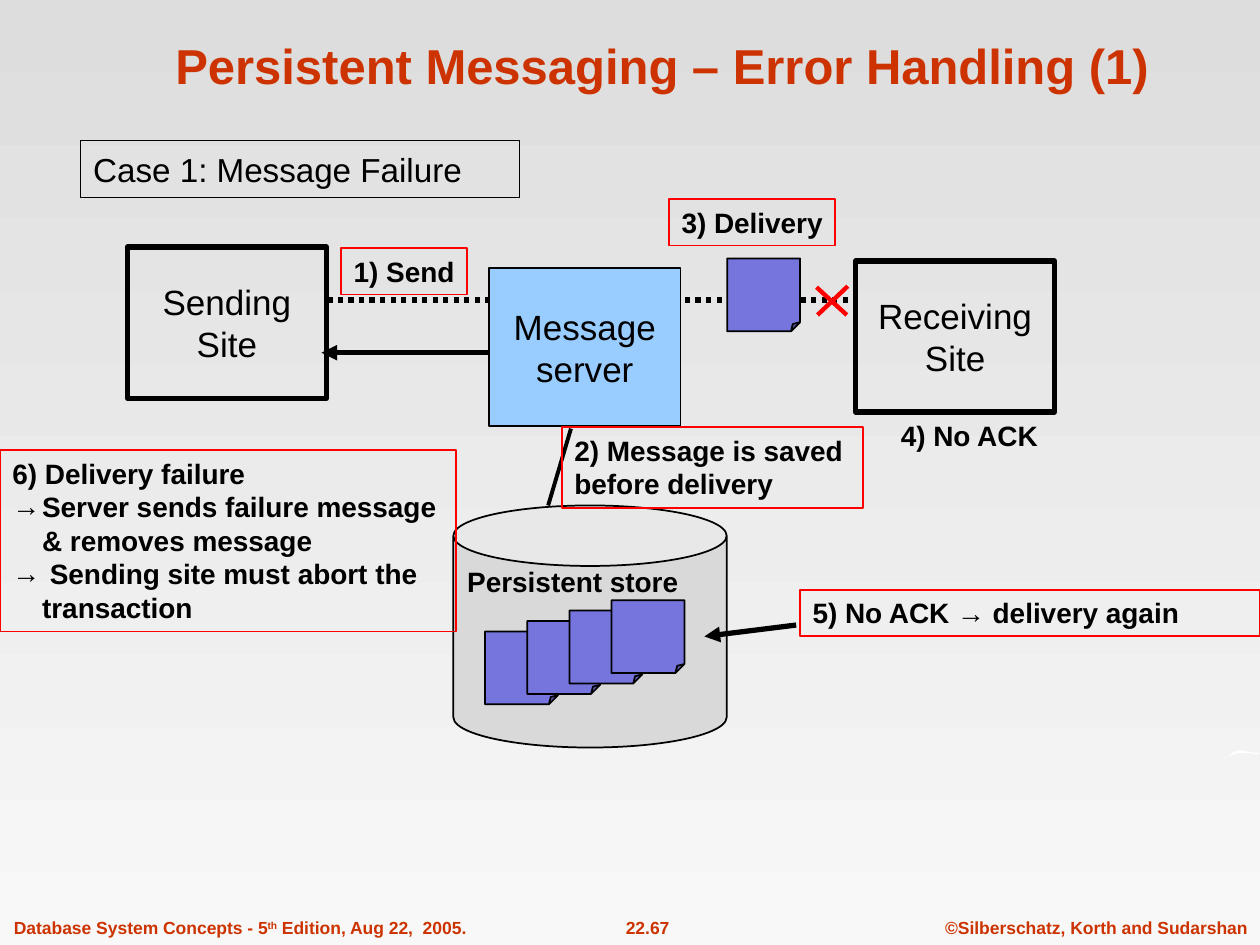
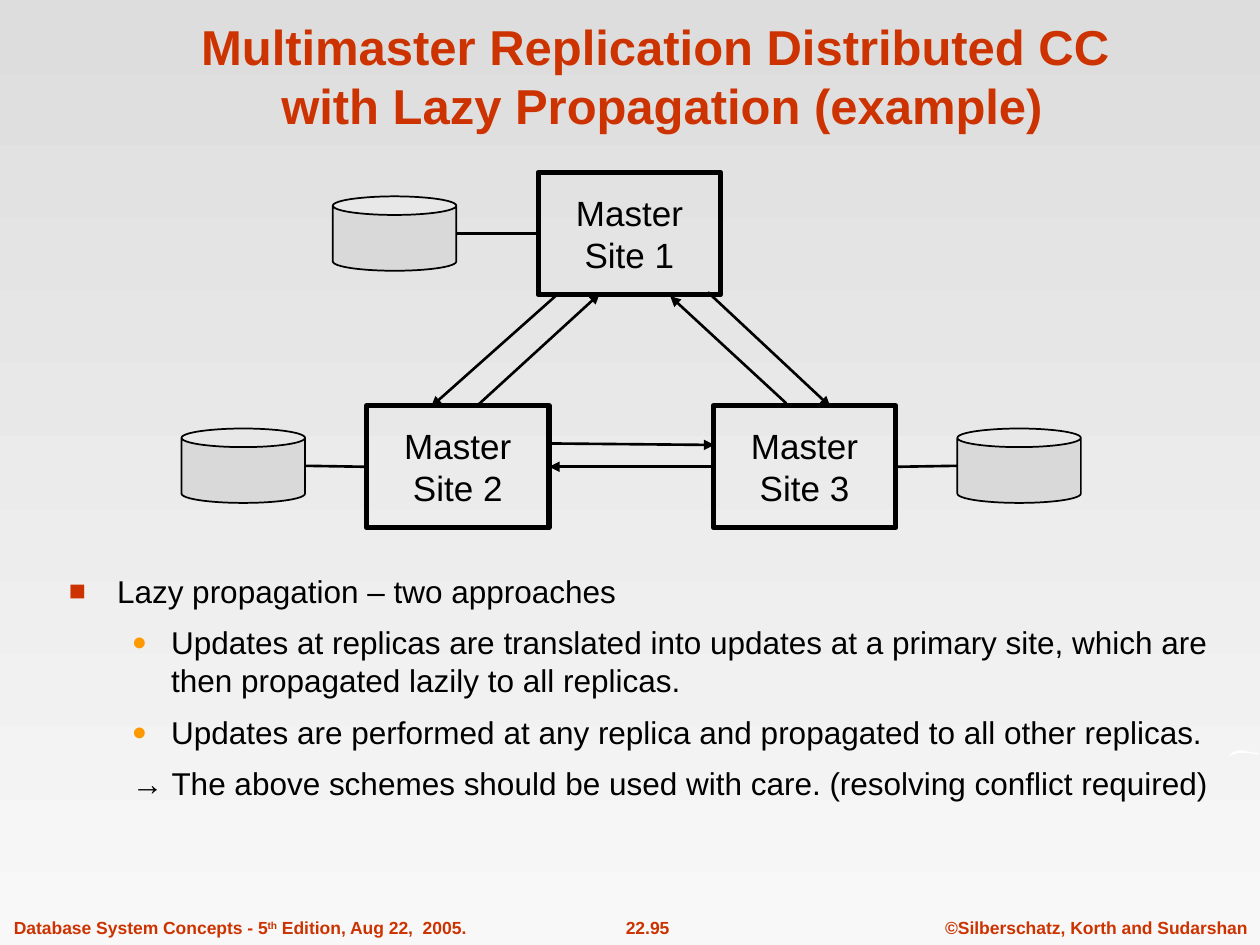
from lxml.etree import SubElement
from pptx import Presentation
from pptx.dml.color import RGBColor
from pptx.enum.dml import MSO_LINE_DASH_STYLE as Dash
from pptx.enum.shapes import MSO_CONNECTOR, MSO_SHAPE as Shape
from pptx.enum.text import MSO_ANCHOR as Anchor, MSO_AUTO_SIZE, PP_ALIGN as Align
from pptx.oxml.ns import qn
from pptx.util import Cm, Pt

FONT = "Arial"
BLACK, RED, WHITE = "000000", "FF0000", "FFFFFF"
TITLE_COLOUR, ORANGE = "CC3300", "FF9900"
SERVER_BLUE, DOCUMENT_BLUE, STORE_GREY = "99CCFF", "7575DD", "D9D9D9"
BACKGROUND = ("DDDDDD", "F8F8F8")
LEFT, RIGHT = 1, 3

# Text between ^ marks is superscript. Lengths are centimetres.
FOOTERS = [
    ("©Silberschatz, Korth and Sudarshan", 18.8, 6.6, Align.CENTER),
    ("{page}", 11.71, 2.69, Align.CENTER),
    ("Database System Concepts - 5^th^ Edition, Aug 22,  2005.", 0.03, 9.63, Align.LEFT),
]
SWOOSH = [(24.77, 15.27), (24.85, 15.16), (25, 15.12), (25.2, 15.16), (25.4, 15.19),
          (25.35, 15.21), (25.15, 15.18), (24.95, 15.18), (24.82, 15.23)]

# Paragraph styles: bullet, bullet colour, bullet percent, left margin, hanging indent
STYLES = {
    "plain": (None, None, None, 0, 0),
    "arrow": ("→", BLACK, 100, 0.6, 0.6),
    "point": ("■", TITLE_COLOUR, 90, 0.97, 0.97),
    "subpoint": ("●", ORANGE, 80, 2.06, 0.79),
    "remark": (None, None, None, 2.06, 0.79),
}

SITE_SIZE = (4.01, 3.05)
MESSAGE_SITES = [("Sending", 2.57, 4.98), ("Receiving", 17.25, 5.26)]
DOCUMENT_SIDE = 1.47
DELIVERED_DOCUMENT = (14.66, 5.21)
STACK_START, STACK_STEP, STACK_COUNT = (9.78, 12.73), (0.85, -0.21), 4
FAILURE_CROSS = [(17.09, 5.77, 16.48, 6.35), (16.46, 5.79, 17.07, 6.35)]
# paragraphs, place, outline, wrap
STEPS = [
    (["Persistent store"], (9.17, 11.25, 4.75, 0.94), None, False),
    (["4) No ACK"], (17.91, 8.31, 3.28, 0.94), None, False),
    (["2) Message is saved", "before delivery"], (11.33, 8.61, 6.07, 1.63), RED, False),
    (["1) Send"], (6.88, 5, 2.54, 0.94), RED, False),
    (["3) Delivery"], (13.49, 4.01, 3.35, 0.94), RED, False),
    (["5) No ACK → delivery again"], (16.13, 11.89, 9.27, 0.94), RED, True),
    (["6) Delivery failure",
      ("Server sends failure message & removes message", "arrow"),
      (" Sending site must abort the transaction", "arrow")],
     (0, 9.07, 9.19, 3.66), RED, True),
]

MASTER_SIZE = (3.68, 2.46)
DATABASE_SIZE = (2.49, 1.5)
# site position, database position, side of the site that faces its database
MASTERS = [
    ((10.85, 3.48), (6.71, 3.96), LEFT),
    ((7.39, 8.18), (3.66, 8.64), LEFT),
    ((14.38, 8.18), (19.3, 8.64), RIGHT),
]
PROPAGATION_ARROWS = [
    (11.23, 5.94, 8.69, 8.2), (9.65, 8.15, 12.09, 5.92), (11.13, 8.94, 14.4, 8.97),
    (15.85, 8.13, 13.51, 5.97), (14.27, 5.89, 16.74, 8.2),
]
APPROACHES = [
    ("Lazy propagation – two approaches", "point"),
    ("Updates at replicas are translated into updates at a primary site, "
     "which are then propagated lazily to all replicas.", "subpoint"),
    ("Updates are performed at any replica and propagated to all other replicas.",
     "subpoint"),
    ("→ The above schemes should be used with care. (resolving conflict required)",
     "remark"),
]


def colour(hex_string):
    return RGBColor.from_string(hex_string)


def place_in_cm(place):
    return [Cm(length) for length in place]


def apply_style(paragraph, style):
    bullet, bullet_colour, percent, margin, hanging = STYLES[style]
    properties = paragraph._p.get_or_add_pPr()
    properties.set("marL", str(Cm(margin)))
    properties.set("indent", str(-Cm(hanging)))
    if bullet:
        bullet_fill = SubElement(properties, qn("a:buClr"))
        SubElement(bullet_fill, qn("a:srgbClr"), val=bullet_colour)
        SubElement(properties, qn("a:buSzPct"), val=str(percent * 1000))
        SubElement(properties, qn("a:buFont"), typeface=FONT)
        SubElement(properties, qn("a:buChar"), char=bullet)


def write(shape, paragraphs, size=16, ink=BLACK, bold=False, align=Align.LEFT,
          anchor=Anchor.TOP, wrap=True, space_before=0):
    """Fill a shape with paragraphs, each a string or a (string, style) pair."""
    frame = shape.text_frame
    frame.auto_size = MSO_AUTO_SIZE.NONE
    frame.word_wrap = wrap
    frame.vertical_anchor = anchor
    for index, entry in enumerate(paragraphs):
        text, style = (entry, "plain") if isinstance(entry, str) else entry
        paragraph = frame.add_paragraph() if index else frame.paragraphs[0]
        apply_style(paragraph, style)
        paragraph.alignment = align
        paragraph.space_before = Pt(space_before if index else 0)
        for part_number, part in enumerate(text.split("^")):
            for line_number, line in enumerate(part.split("\v")):
                if line_number:
                    paragraph.add_line_break()
                run = paragraph.add_run()
                run.text = line
                run.font.name, run.font.size, run.font.bold = FONT, Pt(size), bold
                run.font.color.rgb = colour(ink)
                if part_number % 2:
                    run._r.get_or_add_rPr().set("baseline", "30000")


def add_box(slide, kind, place, fill=None, outline=BLACK, width=1):
    shape = slide.shapes.add_shape(kind, *place_in_cm(place))
    shape.shadow.inherit = False
    if fill:
        shape.fill.solid()
        shape.fill.fore_color.rgb = colour(fill)
    else:
        shape.fill.background()
    shape.line.color.rgb = colour(outline)
    shape.line.width = Pt(width)
    return shape


def add_site(slide, lines, place, fill=None, width=3):
    site = add_box(slide, Shape.RECTANGLE, place, fill, width=width)
    write(site, lines, size=20, align=Align.CENTER, anchor=Anchor.MIDDLE)
    return site


def add_document(slide, left, top):
    document = add_box(slide, Shape.FOLDED_CORNER,
                       (left, top, DOCUMENT_SIDE, DOCUMENT_SIDE), DOCUMENT_BLUE)
    fold = document._element.find(".//" + qn("a:avLst"))
    SubElement(fold, qn("a:gd"), name="adj", fmla="val 12500")


def add_line(slide, ends, width=1.5, ink=BLACK, dash=None, arrow=False):
    line = slide.shapes.add_connector(MSO_CONNECTOR.STRAIGHT, *place_in_cm(ends))
    line.line.color.rgb = colour(ink)
    line.line.width = Pt(width)
    if dash:
        line.line.dash_style = dash
    if arrow:
        SubElement(line.line._get_or_add_ln(), qn("a:tailEnd"), type="triangle")
    SubElement(line._element.spPr, qn("a:effectLst"))
    return line


def prepare_master(presentation):
    master = presentation.slide_master
    fill = master.background.fill
    fill.gradient()
    fill.gradient_angle = 270
    for stop, shade in zip(fill.gradient_stops, BACKGROUND):
        stop.color.rgb = colour(shade)
    title_levels = master.element.find(".//" + qn("p:titleStyle"))
    title_levels.find(f"{qn('a:lvl1pPr')}/{qn('a:defRPr')}").set("sz", "2800")


def add_slide(presentation, title, title_height, page):
    """Add a slide with its title, footers and white swoosh."""
    slide = presentation.slides.add_slide(presentation.slide_layouts[5])
    for text, left, width, align in FOOTERS:
        footer = slide.shapes.add_textbox(*place_in_cm((left, 18.36, width, 0.69)))
        write(footer, [text.format(page=page)], size=10, ink=TITLE_COLOUR, bold=True,
              align=align, wrap=False)

    points = [(Cm(x), Cm(y)) for x, y in SWOOSH]
    builder = slide.shapes.build_freeform(*points[0])
    builder.add_line_segments(points[1:])
    swoosh = builder.convert_to_shape()
    swoosh.shadow.inherit = False
    swoosh.fill.solid()
    swoosh.fill.fore_color.rgb = colour(WHITE)
    swoosh.line.fill.background()

    heading = slide.shapes.title
    heading.left, heading.top, heading.width, heading.height = place_in_cm(
        (2.13, 0.33, 22.43, title_height))
    write(heading, [title], size=28, ink=TITLE_COLOUR, bold=True,
          align=Align.CENTER, anchor=Anchor.BOTTOM)
    return slide


def build_messaging_slide(presentation):
    slide = add_slide(presentation, "Persistent Messaging – Error Handling (1)", 1.7, "22.67")
    add_line(slide, (6.6, 6.05, 17.2, 6.05), width=3, dash=Dash.ROUND_DOT)
    add_document(slide, *DELIVERED_DOCUMENT)
    add_site(slide, ["Message", "server"], (9.86, 5.41, 3.86, 3.18), SERVER_BLUE, width=1)
    add_box(slide, Shape.CAN, (9.14, 10.19, 5.51, 4.88), STORE_GREY)
    add_line(slide, (11.51, 8.64, 11.05, 10.19), width=2.25)
    for number in range(STACK_COUNT):
        add_document(slide, *(start + number * step
                              for start, step in zip(STACK_START, STACK_STEP)))
    add_line(slide, (16.05, 12.6, 14.2, 12.83), width=3, arrow=True)

    for name, left, top in MESSAGE_SITES:
        add_site(slide, [name, "Site"], (left, top, *SITE_SIZE))
    for lines, place, outline, wrap in STEPS:
        if outline:
            label = add_box(slide, Shape.RECTANGLE, place, outline=outline)
        else:
            label = slide.shapes.add_textbox(*place_in_cm(place))
        write(label, lines, bold=True, wrap=wrap)
    add_line(slide, (9.88, 7.11, 6.48, 7.11), width=3, arrow=True)

    case = add_box(slide, Shape.RECTANGLE, (1.63, 2.84, 8.84, 1.14), width=0.75)
    write(case, ["Case 1: Message Failure"], size=19, anchor=Anchor.MIDDLE)
    for stroke in FAILURE_CROSS:
        add_line(slide, stroke, width=2.5, ink=RED)


def build_replication_slide(presentation):
    slide = add_slide(
        presentation,
        "Multimaster Replication Distributed CC \vwith Lazy Propagation (example)",
        2.51, "22.95")
    sites = [add_site(slide, ["Master", f"Site {number}"], (*position, *MASTER_SIZE))
             for number, (position, _, _) in enumerate(MASTERS, 1)]
    for ends in PROPAGATION_ARROWS:
        add_line(slide, ends, arrow=True)
    back_arrow = add_line(slide, (14.38, 9.41, 11.07, 9.41), arrow=True)
    back_arrow.begin_connect(sites[2], LEFT)
    back_arrow.end_connect(sites[1], RIGHT)

    for site, (_, (left, top), side) in zip(sites, MASTERS):
        add_box(slide, Shape.CAN, (left, top, *DATABASE_SIZE), STORE_GREY)
        edge = left + DATABASE_SIZE[0] if side == LEFT else left
        middle = top + DATABASE_SIZE[1] / 2
        link = add_line(slide, (edge, middle, edge, middle))
        link.end_connect(site, side)

    body = slide.shapes.add_textbox(*place_in_cm((1.14, 11.4, 23.72, 4.9)))
    write(body, APPROACHES, size=18, space_before=7.9)


def main():
    presentation = Presentation()
    presentation.slide_width, presentation.slide_height = Cm(25.4), Cm(19.05)
    prepare_master(presentation)
    build_messaging_slide(presentation)
    build_replication_slide(presentation)
    presentation.save("out.pptx")


if __name__ == "__main__":
    main()
